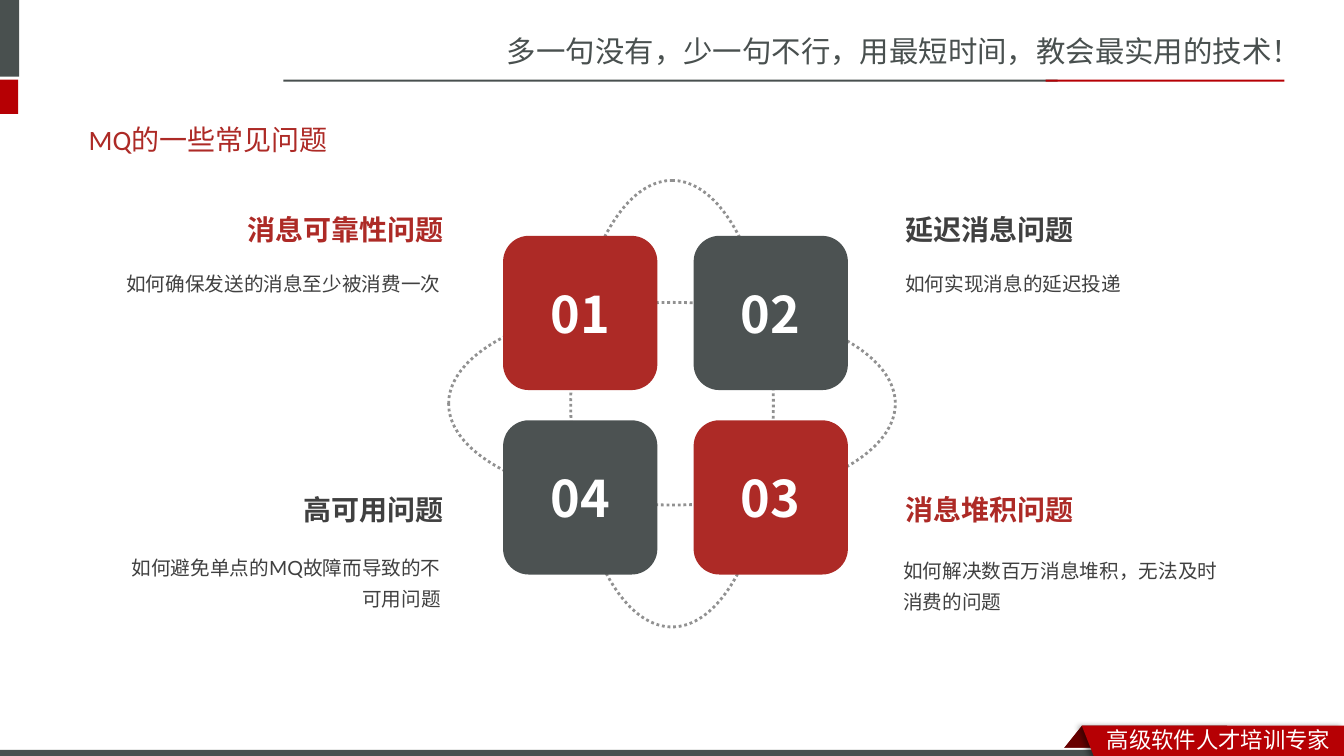
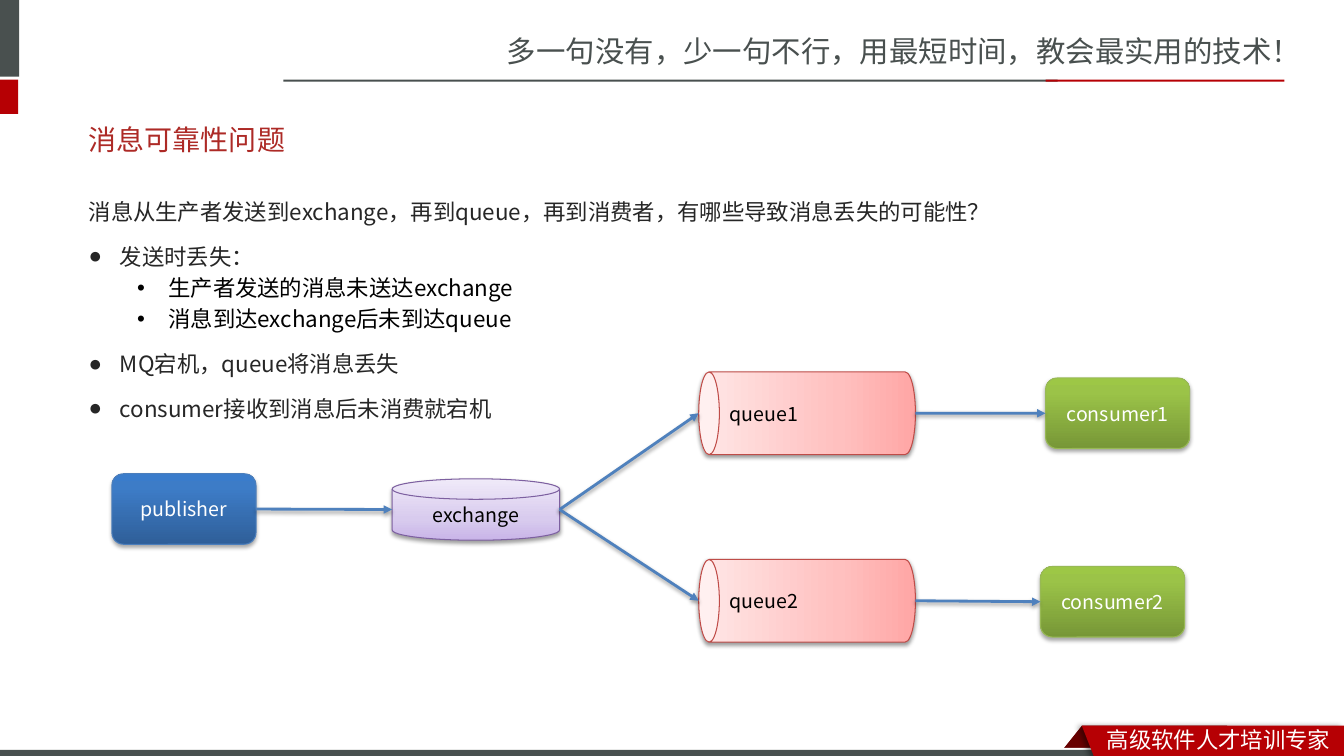
from pptx import Presentation
from pptx.dml.color import RGBColor
from pptx.enum.dml import MSO_LINE
from pptx.enum.shapes import MSO_CONNECTOR, MSO_SHAPE
from pptx.enum.text import MSO_ANCHOR, MSO_AUTO_SIZE, PP_ALIGN
from pptx.oxml import parse_xml
from pptx.oxml.ns import nsdecls, qn
from pptx.util import Inches, Pt

LEFT, CENTER, RIGHT = PP_ALIGN.LEFT, PP_ALIGN.CENTER, PP_ALIGN.RIGHT
TOP, MIDDLE = MSO_ANCHOR.TOP, MSO_ANCHOR.MIDDLE
NO_FIT = MSO_AUTO_SIZE.NONE
DOTTED = MSO_LINE.ROUND_DOT
STRAIGHT = MSO_CONNECTOR.STRAIGHT
RECT, ROUNDED, OVAL = MSO_SHAPE.RECTANGLE, MSO_SHAPE.ROUNDED_RECTANGLE, MSO_SHAPE.OVAL
PARALLELOGRAM, CAN = MSO_SHAPE.PARALLELOGRAM, MSO_SHAPE.CAN
DISK = MSO_SHAPE.FLOWCHART_MAGNETIC_DISK
LEFT_SIDE, RIGHT_SIDE = 1, 3

SANS, LATO, CALIBRI = "Noto Sans CJK SC", "Lato", "Calibri"
WHITE, BLACK, INK, BODY_INK = "FFFFFF", "000000", "404040", "262626"
RED, GRAY = "AD2A26", "4C5252"
BAND_RED, BAND_GRAY, FOLD_RED = "B60004", "49504F", "680000"
DOT_GRAY, ARROW_BLUE = "919191", "4F81BD"

# Frame shared by both slides
SLOGAN = "多一句没有，少一句不行，用最短时间，教会最实用的技术！"
SIGNATURE = "高级软件人才培训专家"
BANDS = [
    ((0, 7.42, 13.33, 0.11), WHITE),
    ((-0.06, 0, 0.25, 0.76), BAND_GRAY),
    ((-0.06, 0.79, 0.24, 0.34), BAND_RED),
    ((2.81, 0.79, 7.68, 0.02), BAND_GRAY),
    ((10.37, 0.79, 2.37, 0.02), BAND_RED),
    ((0, 7.44, 10.99, 0.09), BAND_GRAY),
]
RIBBON = [(10.73, 7.2), (13.33, 7.2), (13.33, 7.54), (10.86, 7.53)]
RIBBON_SHADOW = dict(alpha=40, blur=4, distance=3, angle=180)

# Slide 1: number, column, row, colour, heading, description, description top
TITLE_ISSUES = "MQ的一些常见问题"
ISSUES = [
    ("01", 0, 0, RED, "消息可靠性问题", "如何确保发送的消息至少被消费一次", 2.58),
    ("02", 1, 0, GRAY, "延迟消息问题", "如何实现消息的延迟投递", 2.58),
    ("03", 1, 1, RED, "消息堆积问题", "如何解决数百万消息堆积，无法及时消费的问题", 5.43),
    ("04", 0, 1, GRAY, "高可用问题", "如何避免单点的MQ故障而导致的不可用问题", 5.4),
]
TILE_LEFTS, TILE_TOPS, TILE = (4.99, 6.88), (2.34, 4.17), 1.53
HEADING_LEFTS, HEADING_TOPS = (2.3, 8.88), (2.06, 4.84)
DETAIL_LEFTS = ((1.13, 1.13), (8.88, 8.86))

# Slide 2: text, level, bullet
TITLE_RELIABILITY = "消息可靠性问题"
POINTS = [
    ("消息从生产者发送到exchange，再到queue，再到消费者，有哪些导致消息丢失的可能性？", 0, None),
    ("发送时丢失：", 0, "●"),
    ("生产者发送的消息未送达exchange", 1, "•"),
    ("消息到达exchange后未到达queue", 1, "•"),
    ("MQ宕机，queue将消息丢失", 0, "●"),
    ("consumer接收到消息后未消费就宕机", 0, "●"),
]
STRONG_SHADOW = dict(alpha=35, blur=3.1, distance=1.8, angle=90)
SOFT_SHADOW = dict(alpha=38, blur=3.1, distance=1.6, angle=90)
NODE_STYLES = {
    "publisher": dict(kind=ROUNDED, line="4B7EBC", ink=WHITE, shadow=STRONG_SHADOW,
                      stops=[(0, "2F5F99"), (80, "3D7CC7"), (100, "3A7CCB")]),
    "exchange": dict(kind=DISK, line="7D60A0", ink=BLACK, shadow=SOFT_SHADOW,
                     stops=[(0, "C9B5E8"), (35, "D8CBEE"), (100, "F0EAF9")]),
    "queue": dict(kind=CAN, line="BF4C48", ink=BLACK, shadow=SOFT_SHADOW,
                  stops=[(0, "FFA6A5"), (35, "FFC0BF"), (100, "FFE7E7")]),
    "consumer": dict(kind=ROUNDED, line="98B955", ink=WHITE, shadow=STRONG_SHADOW,
                     stops=[(0, "779737"), (80, "9BC348"), (100, "9DC746")]),
}
NODES = {
    "publisher": (1.11, 4.7, 1.43, 0.7),
    "exchange": (3.89, 4.75, 1.66, 0.61),
    "queue1": (6.93, 3.69, 2.15, 0.82),
    "queue2": (6.93, 5.55, 2.15, 0.82),
    "consumer1": (10.37, 3.75, 1.43, 0.7),
    "consumer2": (10.32, 5.62, 1.43, 0.7),
}
FLOWS = [("publisher", "exchange"), ("exchange", "queue1"), ("exchange", "queue2"),
         ("queue1", "consumer1"), ("queue2", "consumer2")]


def rgb(value):
    return RGBColor.from_string(value)


def inches(values):
    return [Inches(value) for value in values]


def write(para, text, *, size, color, font=SANS, bold=False, align=LEFT, spacing=None):
    para.alignment = align
    if spacing:
        para.line_spacing = spacing
    span = para.add_run()
    span.text = text
    span.font.size = Pt(size)
    span.font.bold = bold
    span.font.color.rgb = rgb(color)
    span.font.name = font
    span.font._element.append(parse_xml(f'<a:ea {nsdecls("a")} typeface="{SANS}"/>'))


def set_effects(shape, shadow=None):
    """Replace the theme's effects by the given shadow, or by none."""
    inner = ""
    if shadow:
        inner = (f'<a:outerShdw blurRad="{Pt(shadow["blur"])}" dist="{Pt(shadow["distance"])}" '
                 f'dir="{shadow["angle"] * 60000}" rotWithShape="0"><a:srgbClr val="{BLACK}">'
                 f'<a:alpha val="{shadow["alpha"] * 1000}"/></a:srgbClr></a:outerShdw>')
    shape.element.spPr.append(
        parse_xml(f'<a:effectLst {nsdecls("a")}>{inner}</a:effectLst>'))


def add_block(slide, kind, bounds, fill=None, shadow=None):
    block = slide.shapes.add_shape(kind, *inches(bounds))
    if fill:
        block.fill.solid()
        block.fill.fore_color.rgb = rgb(fill)
    else:
        block.fill.background()
    block.line.fill.background()
    set_effects(block, shadow)
    return block


def add_label(slide, bounds, text, **style):
    box = slide.shapes.add_textbox(*inches(bounds))
    box.text_frame.word_wrap = True
    write(box.text_frame.paragraphs[0], text, **style)
    return box


def place(holder, bounds, anchor):
    holder.left, holder.top, holder.width, holder.height = inches(bounds)
    frame = holder.text_frame
    frame.auto_size = NO_FIT
    frame.vertical_anchor = anchor
    return frame


def set_title(slide, text, font):
    frame = place(slide.shapes.title, (0.78, 1.1, 11.7, 0.57), MIDDLE)
    write(frame.paragraphs[0], text, size=20, color=RED, font=font)


def add_frame(master, slide):
    """Draw the shared bands and texts on the slide, then move them to its master."""
    fold = add_block(slide, PARALLELOGRAM, (10.49, 7.2, 1.68, 0.3), FOLD_RED)
    fold.adjustments[0] = 0.8
    parts = [fold] + [add_block(slide, RECT, bounds, fill) for bounds, fill in BANDS]
    parts.append(add_label(slide, (4.93, 0.28, 8.41, 0.47), SLOGAN,
                           size=21, color=BAND_GRAY))

    points = [inches(point) for point in RIBBON]
    outline = slide.shapes.build_freeform(*points[0])
    outline.add_line_segments(points[1:], close=True)
    ribbon = outline.convert_to_shape()
    ribbon.fill.solid()
    ribbon.fill.fore_color.rgb = rgb(BAND_RED)
    ribbon.line.fill.background()
    set_effects(ribbon, RIBBON_SHADOW)
    parts.append(ribbon)
    parts.append(add_label(slide, (10.88, 7.15, 2.45, 0.37), SIGNATURE,
                           size=16, color=WHITE))

    tree = master.shapes.element
    for index, part in enumerate(parts):
        part.element.nvSpPr.cNvPr.set("id", str(100 + index))
        tree.insert(2 + index, part.element)


def build_issues(slide):
    set_title(slide, TITLE_ISSUES, CALIBRI)
    for rotation in (0, 90):
        orbit = add_block(slide, OVAL, (4.45, 3, 4.43, 2.01))
        orbit.rotation = rotation
        orbit.line.color.rgb = rgb(DOT_GRAY)
        orbit.line.width = Pt(2)
        orbit.line.dash_style = DOTTED

    for number, column, row, color, heading, detail, detail_top in ISSUES:
        tile = add_block(slide, ROUNDED,
                         (TILE_LEFTS[column], TILE_TOPS[row], TILE, TILE), color)
        tile.text_frame.vertical_anchor = MIDDLE
        write(tile.text_frame.paragraphs[0], number, size=36, color=WHITE,
              bold=True, align=CENTER)
        align = (RIGHT, LEFT)[column]
        add_label(slide, (HEADING_LEFTS[column], HEADING_TOPS[row], 2.2, 0.44), heading,
                  size=20, color=RED if color == RED else INK, font=LATO,
                  bold=True, align=align)
        add_label(slide, (DETAIL_LEFTS[column][row], detail_top, 3.34, 0.68), detail,
                  size=14, color=INK, font=LATO, align=align, spacing=1.3)


def add_points(holder):
    frame = place(holder, (0.78, 1.78, 11.7, 2.57), TOP)
    for index, (text, level, bullet) in enumerate(POINTS):
        para = frame.add_paragraph() if index else frame.paragraphs[0]
        para.level = level
        write(para, text, size=16, color=BLACK if level else BODY_INK,
              spacing=None if level else 1.5)
        margin, indent = (0.79 if level else 0.31, -0.31) if bullet else (0, 0)
        mark = f'buChar {nsdecls("a")} char="{bullet}"' if bullet else f'buNone {nsdecls("a")}'
        properties = para._p.get_or_add_pPr()
        properties.set("marL", str(Inches(margin)))
        properties.set("indent", str(Inches(indent)))
        properties.append(parse_xml(f"<a:{mark}/>"))


def fill_gradient(shape, stops):
    """Fill from bottom to top with any number of stops."""
    shape.fill.gradient()
    shape.fill.gradient_angle = 90
    stop_list = shape.element.spPr.find(qn("a:gradFill")).find(qn("a:gsLst"))
    for stop in list(stop_list):
        stop_list.remove(stop)
    for position, color in stops:
        stop_list.append(parse_xml(
            f'<a:gs {nsdecls("a")} pos="{position * 1000}"><a:srgbClr val="{color}"/></a:gs>'))


def add_node(slide, name, bounds):
    style = NODE_STYLES[name.rstrip("12")]
    left, top, width, height = bounds
    lying = style["kind"] == CAN
    if lying:
        shift = (width - height) / 2
        bounds = (left + shift, top - shift, height, width)
    node = slide.shapes.add_shape(style["kind"], *inches(bounds))
    fill_gradient(node, style["stops"])
    node.line.color.rgb = rgb(style["line"])
    node.line.width = Pt(0.75)
    set_effects(node, style["shadow"])
    node.text_frame.vertical_anchor = MIDDLE
    write(node.text_frame.paragraphs[0], name, size=14, color=style["ink"], align=CENTER)
    if lying:
        node.rotation = 270
        node.element.txBody.bodyPr.set("vert", "eaVert")
    return node


def add_flow(slide, nodes, source, target):
    left, top, width, height = NODES[source]
    end_left, end_top, _, end_height = NODES[target]
    arrow = slide.shapes.add_connector(STRAIGHT, *inches(
        (left + width, top + height / 2, end_left, end_top + end_height / 2)))
    if source == "publisher":
        arrow.begin_connect(nodes[source], RIGHT_SIDE)
    if target.startswith("consumer"):
        arrow.end_connect(nodes[target], LEFT_SIDE)
    arrow.line.color.rgb = rgb(ARROW_BLUE)
    arrow.line.width = Pt(2)
    arrow.line._get_or_add_ln().append(
        parse_xml(f'<a:tailEnd {nsdecls("a")} type="triangle"/>'))
    set_effects(arrow, SOFT_SHADOW)


def build_reliability(slide):
    set_title(slide, TITLE_RELIABILITY, SANS)
    add_points(slide.placeholders[1])
    nodes = {name: add_node(slide, name, bounds) for name, bounds in NODES.items()}
    for source, target in FLOWS:
        add_flow(slide, nodes, source, target)


def main():
    deck = Presentation()
    deck.slide_width, deck.slide_height = Inches(13.33), Inches(7.5)
    title_only, title_and_body = deck.slide_layouts[5], deck.slide_layouts[1]
    issues_page = deck.slides.add_slide(title_only)
    add_frame(deck.slide_master, issues_page)
    build_issues(issues_page)
    build_reliability(deck.slides.add_slide(title_and_body))
    deck.save("out.pptx")


if __name__ == "__main__":
    main()
